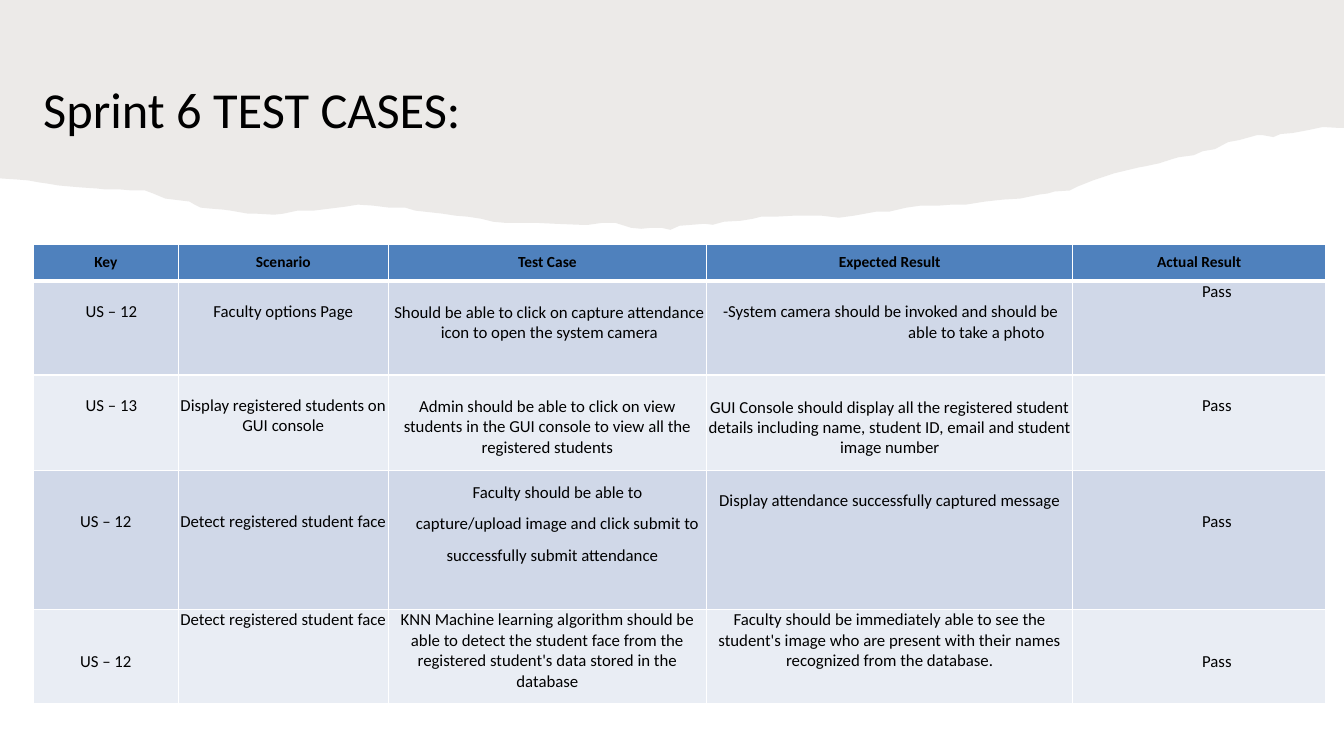
from dataclasses import dataclass
from lxml.etree import SubElement
from pptx import Presentation
from pptx.dml.color import RGBColor
from pptx.enum.text import MSO_ANCHOR, PP_ALIGN
from pptx.oxml.ns import qn
from pptx.util import Pt

PX = 9144


@dataclass(frozen=True)
class Theme:
    """Colours, font and type sizes of the slide."""
    font: str = "Calibri"
    ink: str = "000000"
    paper: str = "82766A"
    alpha: int = 15
    rule: str = "FFFFFF"
    head: str = "4F81BD"
    odd: str = "D0D8E8"
    even: str = "E9EDF4"
    title: int = 36
    label: int = 11
    body: int = 12


THEME = Theme()

TORN = [
    (1333, 0), (1333, 127), (1329, 127), (1312, 126), (1298, 129),
    (1282, 132), (1270, 133), (1263, 136), (1252, 134), (1247, 134),
    (1229, 139), (1218, 141), (1205, 148), (1193, 150), (1184, 154),
    (1169, 156), (1162, 158), (1150, 162), (1145, 163), (1136, 165),
    (1130, 166), (1105, 172), (1084, 179), (1069, 185), (1061, 189),
    (1046, 190), (1039, 192), (1031, 193), (1012, 197), (995, 198),
    (977, 200), (958, 203), (944, 203), (931, 204), (913, 204),
    (899, 206), (882, 210), (869, 210), (847, 214), (832, 216),
    (815, 214), (787, 214), (769, 215), (755, 215), (747, 217),
    (735, 219), (718, 220), (707, 223), (699, 222), (674, 224),
    (665, 228), (656, 226), (646, 226), (636, 227), (626, 226),
    (610, 221), (598, 221), (584, 223), (575, 223), (550, 222),
    (530, 221), (500, 221), (489, 220), (477, 217), (464, 215),
    (452, 214), (439, 212), (412, 209), (402, 206), (386, 206),
    (370, 204), (355, 203), (343, 205), (311, 209), (295, 209),
    (281, 212), (272, 213), (254, 212), (246, 212), (229, 209),
    (222, 208), (209, 207), (199, 206), (193, 203), (188, 200),
    (164, 197), (152, 192), (144, 189), (131, 189), (120, 188),
    (105, 188), (96, 187), (81, 186), (69, 185), (58, 184),
    (46, 182), (39, 181), (28, 179), (16, 178), (0, 177),
]

COLS = [144, 208, 316, 363, 251]
ROWS = [37, 93, 95, 138, 93]
HEADS = ["Key", "Scenario", "Test Case", "Expected Result", "Actual Result"]
CASES = [
    [("US – 12", dict(top=20, left=11)),
     ("Faculty options Page", dict(top=20)),
     ("Should be able to click on capture attendance icon to open "
      "the system camera", dict(top=21, left=4)),
     ("-System camera should be invoked and should be able to take a photo",
      dict(top=20, left=172, hang=-170, lead=1.02)),
     ("Pass", dict(left=35))],
    [("US – 13", dict(top=20, left=11)),
     ("Display registered students on\nGUI console", dict(top=20)),
     ("Admin should be able to click on view students in the GUI console "
      "to view all the registered students", dict(top=21)),
     ("GUI Console should display all the registered student details "
      "including name, student ID, email and student image number",
      dict(top=22)),
     ("Pass", dict(top=20, left=35))],
    [("US – 12", dict(top=41)),
     ("Detect registered student face", dict(top=41)),
     ("Faculty should be able to\ncapture/upload image and click submit to "
      "successfully submit attendance", dict(left=10, hang=10, lead=1.56)),
     ("Display attendance successfully captured message", dict(top=20)),
     ("Pass", dict(top=41, left=35))],
    [("US – 12", dict(top=41)),
     ("Detect registered student face", {}),
     ("KNN Machine learning algorithm should be able to detect the student "
      "face from the registered student's data stored in the database", {}),
     ("Faculty should be immediately able to see the student's image who are "
      "present with their names recognized from the database.", {}),
     ("Pass", dict(top=41, left=35))],
]


def px(*nums):
    """Turn px lengths into EMU."""
    return [round(n * PX) for n in nums]


def write(frame, text, size=THEME.body, bold=False, align=PP_ALIGN.CENTER,
          left=0, hang=0, lead=None):
    """Fill a text frame, one paragraph a line."""
    frame.word_wrap = True
    for i, line in enumerate(text.split("\n")):
        para = frame.add_paragraph() if i else frame.paragraphs[0]
        para.alignment = align
        if lead:
            para.line_spacing = lead
        if left or hang:
            props = para._p.get_or_add_pPr()
            for key, num in zip(("marL", "indent"), px(left, hang)):
                props.set(key, str(num))
        run = para.add_run()
        run.text = line
        font = run.font
        font.name, font.size, font.bold = THEME.font, Pt(size), bold
        font.color.rgb = RGBColor.from_string(THEME.ink)


def edge(cell, side, width):
    """Draw one side of a cell."""
    line = SubElement(cell._tc.get_or_add_tcPr(), qn(f"a:ln{side}"),
                      w=str(Pt(width)))
    fill = SubElement(line, qn("a:solidFill"))
    SubElement(fill, qn("a:srgbClr"), val=THEME.rule)


def paint(cell, text, fill, row, top=0, **style):
    """Give a cell its sides, fill and text."""
    for side in "LRTB":
        thick = (row, side) in ((0, "B"), (1, "T"))
        edge(cell, side, 3 if thick else 1)
    cell.fill.solid()
    cell.fill.fore_color.rgb = RGBColor.from_string(fill)
    cell.margin_left = cell.margin_right = cell.margin_bottom = 0
    cell.margin_top = px(top)[0]
    cell.vertical_anchor = MSO_ANCHOR.TOP
    write(cell.text_frame, text, **style)


def banner(slide, x, y):
    """Draw the torn paper band."""
    build = slide.shapes.build_freeform(x, y, scale=PX)
    build.add_line_segments([(x + a, y + b) for a, b in TORN], close=True)
    band = build.convert_to_shape()
    band.shadow.inherit = False
    band.line.fill.background()
    band.fill.solid()
    band.fill.fore_color.rgb = RGBColor.from_string(THEME.paper)
    tint = next(band._element.spPr.iter(qn("a:srgbClr")))
    SubElement(tint, qn("a:alpha"), val=str(THEME.alpha * 1000))


def title(slide, x, y, w, h):
    """Place the title at the foot of its box."""
    frame = slide.shapes.add_textbox(*px(x, y, w, h)).text_frame
    frame.vertical_anchor = MSO_ANCHOR.BOTTOM
    write(frame, "Sprint 6 TEST CASES:", size=THEME.title,
          align=PP_ALIGN.LEFT, lead=0.9)


def grid(slide, x, y):
    """Place the table of test cases."""
    size = px(x, y, sum(COLS), sum(ROWS))
    table = slide.shapes.add_table(len(ROWS), len(COLS), *size).table
    for col, wide in zip(table.columns, px(*COLS)):
        col.width = wide
    for row, high in zip(table.rows, px(*ROWS)):
        row.height = high
    for c, text in enumerate(HEADS):
        paint(table.cell(0, c), text, THEME.head, 0, top=9,
              size=THEME.label, bold=True)
    for r, case in enumerate(CASES, 1):
        fill = THEME.odd if r % 2 else THEME.even
        for c, (text, style) in enumerate(case):
            paint(table.cell(r, c), text, fill, r, **style)


def main():
    """Build and save the slide."""
    deck = Presentation()
    deck.slide_width, deck.slide_height = px(1333, 750)
    slide = deck.slides.add_slide(deck.slide_layouts[6])
    banner(slide, 0, 0)
    title(slide, 33, 54, 1152, 89)
    grid(slide, 33, 242)
    deck.save("out.pptx")


if __name__ == "__main__":
    main()
